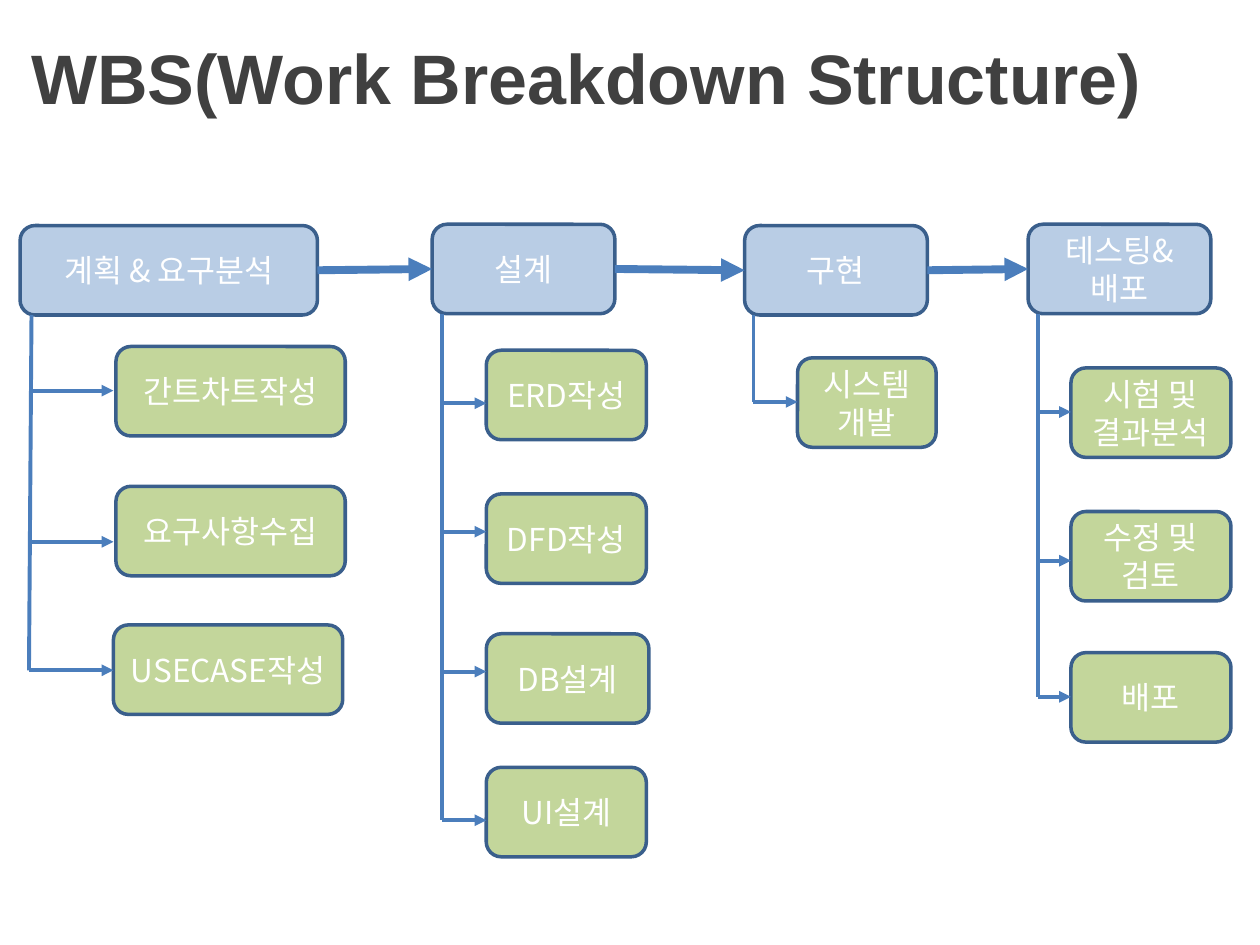
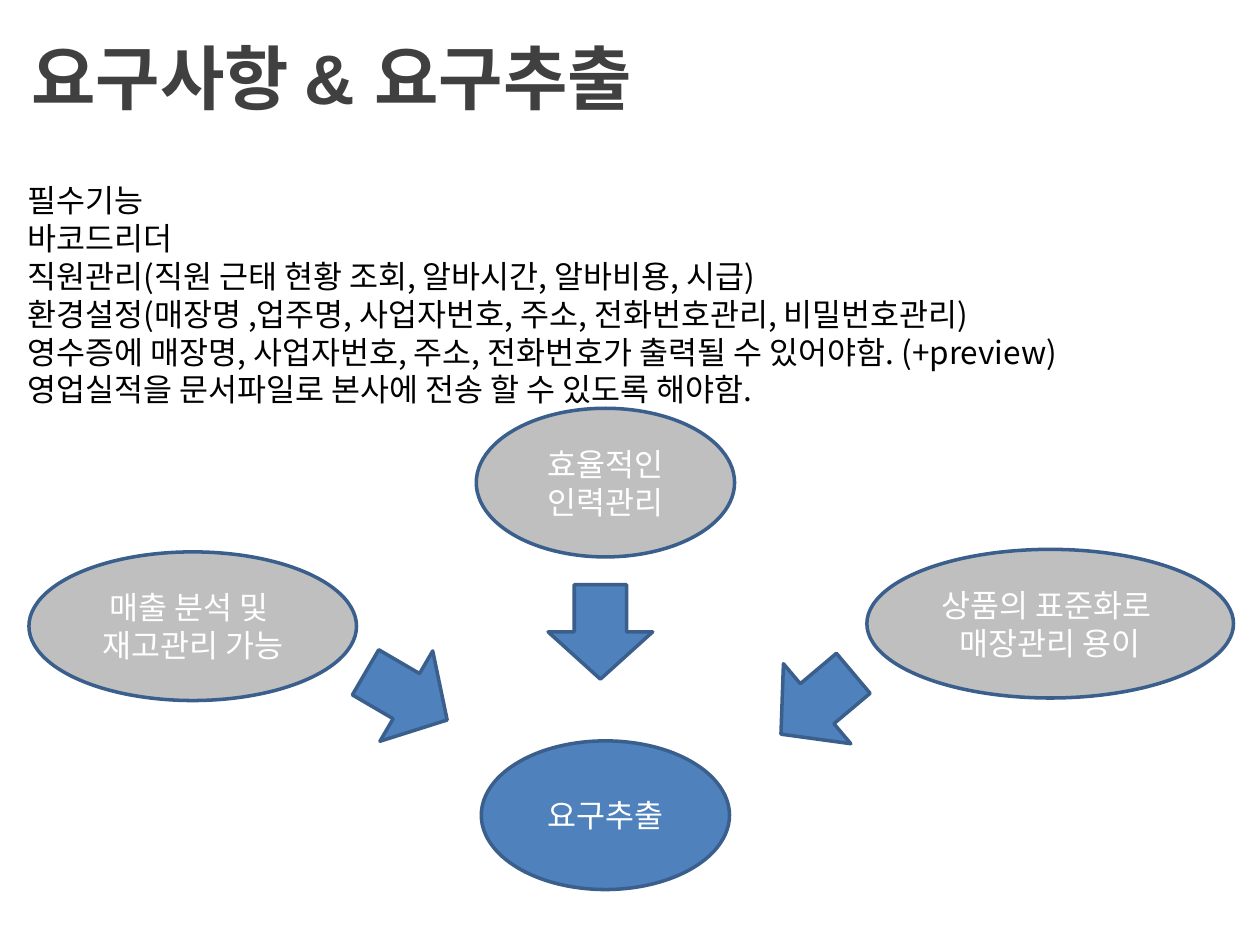
"""Build a work breakdown chart and a requirements slide."""
from dataclasses import dataclass
from itertools import pairwise
from lxml import etree
from pptx import Presentation
from pptx.dml.color import RGBColor
from pptx.enum.shapes import MSO_CONNECTOR, MSO_SHAPE
from pptx.enum.text import MSO_ANCHOR, PP_ALIGN
from pptx.oxml.ns import qn
from pptx.util import Inches, Pt

LEFT, CENTER = PP_ALIGN.LEFT, PP_ALIGN.CENTER
TOP, MIDDLE = MSO_ANCHOR.TOP, MSO_ANCHOR.MIDDLE
ROUND, OVAL, ARROW = MSO_SHAPE.ROUNDED_RECTANGLE, MSO_SHAPE.OVAL, MSO_SHAPE.RIGHT_ARROW
STRAIGHT = MSO_CONNECTOR.STRAIGHT


@dataclass(frozen=True)
class Theme:
    """Colours, fonts and sizes for both slides."""
    phase: str = "B9CDE5"
    task: str = "C3D69B"
    need: str = "BFBFBF"
    goal: str = "4F81BD"
    edge: str = "3A5F8C"
    wire: str = "4B7EBC"
    title: str = "404040"
    dark: str = "000000"
    light: str = "FFFFFF"
    latin: str = "Arial"
    hangul: str = "Noto Sans CJK KR"
    head: int = 40
    body: int = 18
    border: float = 2
    thin: float = 2.25
    thick: float = 4.5


THEME = Theme()
BOX_H = 0.71
OVAL_H = 1.18

PHASES = [
    {"text": "계획 & 요구분석", "box": (0.16, 1.79, 2.36), "spine": (0.25, 0.23), "tip": 0.9,
     "tasks": [("간트차트작성", 0.92, 2.75, 1.82, 3.1),
               ("요구사항수집", 0.92, 3.86, 1.82, 4.3),
               ("USECASE작성", 0.9, 4.96, 1.82, 5.32)]},
    {"text": "설계", "box": (3.43, 1.78, 1.45), "spine": (3.51, 3.51), "tip": 3.86,
     "tasks": [("ERD작성", 3.86, 2.78, 1.27, 3.2),
               ("DFD작성", 3.86, 3.92, 1.27, 4.22),
               ("DB설계", 3.86, 5.03, 1.29, 5.33),
               ("UI설계", 3.86, 6.09, 1.27, 6.51)]},
    {"text": "구현", "box": (5.91, 1.79, 1.45), "spine": (5.98, 5.98), "tip": 6.33,
     "tasks": [("시스템개발", 6.33, 2.84, 1.1, 3.19)]},
    {"text": "테스팅&배포", "box": (8.16, 1.78, 1.45), "spine": (8.24, 8.24), "tip": 8.5,
     "tasks": [("시험 및\n결과분석", 8.5, 2.92, 1.27, 3.27),
               ("수정 및\n검토", 8.5, 4.06, 1.27, 4.45),
               ("배포", 8.5, 5.18, 1.27, 5.53)]},
]

NEEDS = """필수기능
바코드리더
직원관리(직원 근태 현황 조회, 알바시간, 알바비용, 시급)
환경설정(매장명 ,업주명, 사업자번호, 주소, 전화번호관리, 비밀번호관리)
영수증에 매장명, 사업자번호, 주소, 전화번호가 출력될 수 있어야함. (+preview)
영업실적을 문서파일로 본사에 전송 할 수 있도록 해야함."""

OVALS = [
    ("요구추출", 3.82, 5.88, 1.97, THEME.goal),
    ("상품의 표준화로 \n매장관리 용이", 6.88, 4.36, 2.91, THEME.need),
    ("매출 분석 및 \n재고관리 가능", 0.23, 4.38, 2.6, THEME.need),
    ("효율적인 인력관리", 3.78, 3.24, 2.05, THEME.need),
]

ARROWS = [(2.85, 5.11, 30.3), (4.39, 4.6, 90), (6.11, 5.17, 139.9)]


def rgb(code):
    return RGBColor.from_string(code)


def write(shape, text, size, color, latin, align=LEFT, anchor=MIDDLE, bold=False):
    frame = shape.text_frame
    frame.text = text
    frame.word_wrap = True
    frame.vertical_anchor = anchor
    for para in frame.paragraphs:
        para.alignment = align
        for run in para.runs:
            font = run.font
            font.size, font.bold, font.name = Pt(size), bold, latin
            font.color.rgb = rgb(color)
            east = etree.SubElement(run._r.get_or_add_rPr(), qn("a:ea"))
            east.set("typeface", THEME.hangul)


def label(slide, text, box, *style, **extra):
    area = slide.shapes.add_textbox(*map(Inches, box))
    write(area, text, *style, **extra)
    return area


def block(slide, kind, box, fill, text="", turn=0):
    shape = slide.shapes.add_shape(kind, *map(Inches, box))
    shape.shadow.inherit = False
    shape.fill.solid()
    shape.fill.fore_color.rgb = rgb(fill)
    shape.line.color.rgb = rgb(THEME.edge)
    shape.line.width = Pt(THEME.border)
    shape.rotation = turn
    if text:
        write(shape, text, THEME.body, THEME.light, THEME.hangul, align=CENTER)


def wire(slide, start, end, width=THEME.thin, tip=True):
    line = slide.shapes.add_connector(STRAIGHT, *map(Inches, (*start, *end)))
    line.line.color.rgb = rgb(THEME.wire)
    line.line.width = Pt(width)
    if tip:
        etree.SubElement(line.line._get_or_add_ln(), qn("a:tailEnd")).set("type", "triangle")
    etree.SubElement(line._element.spPr, qn("a:effectLst"))


def page(deck, title):
    slide = deck.slides.add_slide(deck.slide_layouts[6])
    area = label(slide, title, (0, 0.02, 10, 1.17), THEME.head, THEME.title,
                 THEME.latin, bold=True)
    area.text_frame.margin_left = Inches(0.25)
    return slide


def branch(slide, phase):
    left, top, width = phase["box"]
    block(slide, ROUND, (left, top, width, BOX_H), THEME.phase, phase["text"])
    head, foot = phase["spine"]
    for text, x, y, wide, level in phase["tasks"]:
        block(slide, ROUND, (x, y, wide, BOX_H), THEME.task, text)
        wire(slide, (foot, level), (phase["tip"], level))
    wire(slide, (head, top + BOX_H), (foot, level), tip=False)


def chart(deck):
    slide = page(deck, "WBS(Work Breakdown Structure)")
    for phase in PHASES:
        branch(slide, phase)
    for prior, after in pairwise(PHASES):
        left, top, width = prior["box"]
        goal, level, _ = after["box"]
        wire(slide, (left + width, top + BOX_H / 2), (goal, level + BOX_H / 2), THEME.thick)


def needs(deck):
    slide = page(deck, "요구사항 & 요구추출")
    label(slide, NEEDS, (0.12, 1.39, 9.37, 1.92), THEME.body, THEME.dark,
          THEME.hangul, anchor=TOP)
    for text, left, top, width, fill in OVALS:
        block(slide, OVAL, (left, top, width, OVAL_H), fill, text)
    for left, top, turn in ARROWS:
        block(slide, ARROW, (left, top, 0.75, 0.83), THEME.goal, turn=turn)


def main():
    deck = Presentation()
    deck.slide_width, deck.slide_height = Inches(10), Inches(7.5)
    chart(deck)
    needs(deck)
    deck.save("out.pptx")


main()
